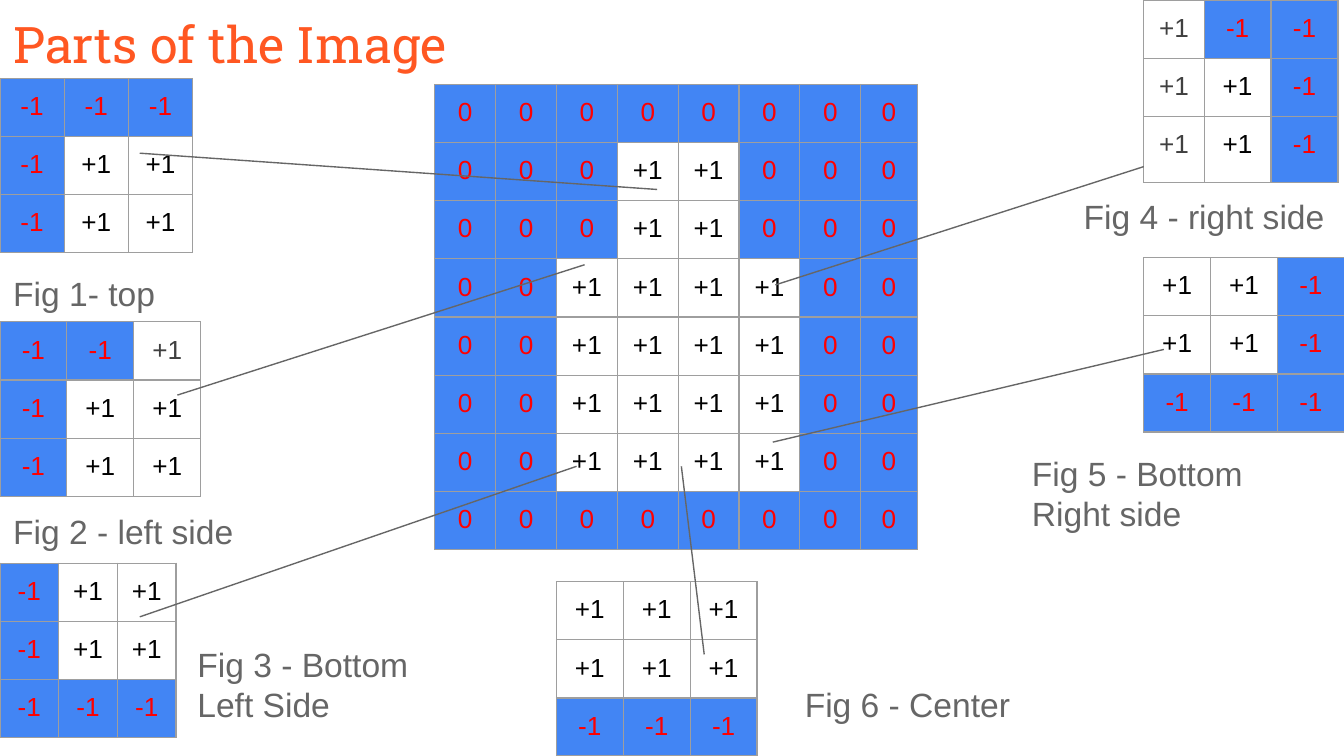
import dataclasses

import pptx
import pptx.dml.color
import pptx.enum.shapes
import pptx.enum.text
import pptx.oxml.ns
import pptx.util
from lxml import etree

ALIGN = pptx.enum.text.PP_ALIGN


@dataclasses.dataclass(frozen=True)
class Theme:
    title_font: str = "Roboto Slab"
    body_font: str = "Arial"
    title_size: int = 27
    caption_size: int = 18
    cell_size: int = 14
    line_width: float = 0.75
    title: str = "FF5722"
    caption: str = "666666"
    border: str = "9E9E9E"
    outside: str = "4285F4"
    negative: str = "FF0000"
    positive: str = "000000"
    muted: str = "404040"
    white: str = "FFFFFF"


def color(value):
    return pptx.dml.color.RGBColor.from_string(value)


def write(frame, text, *, font, size, fill, align=ALIGN.LEFT):
    inset = pptx.util.Inches(0.1)
    frame.margin_left = frame.margin_right = inset
    frame.margin_top = frame.margin_bottom = inset
    frame.word_wrap = True
    paragraph = frame.paragraphs[0]
    paragraph.alignment = align
    run = paragraph.add_run()
    run.text = text
    run.font.name = font
    run.font.size = pptx.util.Pt(size)
    run.font.bold = False
    run.font.color.rgb = color(fill)


class SlideBuilder:
    columns = 100
    rows = 56.25
    row_height = 4.33

    def __init__(self, presentation, theme):
        self.presentation = presentation
        self.theme = theme
        self.slide = presentation.slides.add_slide(presentation.slide_layouts[5])
        self.cell_styles = {
            "0": ("0", theme.negative, theme.outside),
            "-": ("-1", theme.negative, theme.outside),
            "+": ("+1", theme.positive, None),
            "*": ("+1", theme.muted, theme.white),
        }

    def across(self, columns):
        return round(self.presentation.slide_width * columns / self.columns)

    def down(self, rows):
        return round(self.presentation.slide_height * rows / self.rows)

    def box(self, left, top, width, height):
        return self.across(left), self.down(top), self.across(width), self.down(height)

    def title(self, text, *place):
        shape = self.slide.shapes.title
        shape.left, shape.top, shape.width, shape.height = self.box(*place)
        frame = shape.text_frame
        frame.vertical_anchor = pptx.enum.text.MSO_ANCHOR.TOP
        frame.auto_size = pptx.enum.text.MSO_AUTO_SIZE.NONE
        write(frame, text, font=self.theme.title_font,
              size=self.theme.title_size, fill=self.theme.title)

    def caption(self, text, *place):
        frame = self.slide.shapes.add_textbox(*self.box(*place)).text_frame
        frame.auto_size = pptx.enum.text.MSO_AUTO_SIZE.SHAPE_TO_FIT_TEXT
        write(frame, text, font=self.theme.body_font,
              size=self.theme.caption_size, fill=self.theme.caption)

    def matrix(self, left, top, widths, pattern, last_height=row_height):
        lines = pattern.split()
        heights = [self.row_height] * (len(lines) - 1) + [last_height]
        place = self.box(left, top, sum(widths), sum(heights))
        table = self.slide.shapes.add_table(len(lines), len(widths), *place).table
        table.first_row = table.horz_banding = False
        for column, width in zip(table.columns, widths):
            column.width = self.across(width)
        for row, height, line in zip(table.rows, heights, lines):
            row.height = self.down(height)
            for cell, mark in zip(row.cells, line):
                self.cell(cell, *self.cell_styles[mark])

    def cell(self, cell, text, ink, background):
        write(cell.text_frame, text, font=self.theme.body_font,
              size=self.theme.cell_size, fill=ink, align=ALIGN.CENTER)
        cell.margin_left = cell.margin_right = pptx.util.Inches(0.1)
        cell.margin_top = cell.margin_bottom = pptx.util.Inches(0.1)
        self.borders(cell)
        if background:
            cell.fill.solid()
            cell.fill.fore_color.rgb = color(background)
        else:
            cell.fill.background()

    def borders(self, cell):
        qn = pptx.oxml.ns.qn
        properties = cell._tc.get_or_add_tcPr()
        width = str(pptx.util.Pt(self.theme.line_width))
        for side in ("a:lnL", "a:lnR", "a:lnT", "a:lnB"):
            line = etree.SubElement(properties, qn(side), w=width)
            fill = etree.SubElement(line, qn("a:solidFill"))
            etree.SubElement(fill, qn("a:srgbClr"), val=self.theme.border)

    def line(self, start_x, start_y, end_x, end_y):
        connector = self.slide.shapes.add_connector(
            pptx.enum.shapes.MSO_CONNECTOR.STRAIGHT,
            self.across(start_x), self.down(start_y),
            self.across(end_x), self.down(end_y))
        connector.line.color.rgb = color(self.theme.caption)
        connector.line.width = pptx.util.Pt(self.theme.line_width)
        etree.SubElement(connector._element.spPr, pptx.oxml.ns.qn("a:effectLst"))


def main():
    presentation = pptx.Presentation()
    presentation.slide_width = pptx.util.Pt(720)
    presentation.slide_height = pptx.util.Pt(405)
    builder = SlideBuilder(presentation, Theme())

    builder.title("Parts of the Image", 0, 0, 100, 6.3)

    builder.matrix(0, 5.83, [4.78] * 3, "--- -++ -++")
    builder.matrix(0, 23.95, [4.98] * 3, "--* -++ -++")
    builder.matrix(0, 41.9, [4.37] * 3, "-++ -++ ---")
    builder.matrix(85.1, 19.17, [4.98] * 3, "++- ++- ---")
    builder.matrix(85.1, 0, [4.5, 4.98, 4.98], "*-- *+- *+-", last_height=4.9)
    builder.matrix(41.4, 43.28, [4.98] * 3, "+++ +++ ---")

    empty, narrow, wide = "00000000", "000++000", "00++++00"
    house = [empty] + [narrow] * 2 + [wide] * 4 + [empty]
    builder.matrix(32.35, 6.28, [4.53] * 7 + [4.2], " ".join(house))

    for caption in (
        ("Fig 1- top", 0, 19.3, 16.1, 5),
        ("Fig 2 - left side", 0, 37, 19, 5),
        ("Fig 3 - Bottom Left Side", 13.7, 46.9, 21.1, 8.1),
        ("Fig 4 - right side", 79.65, 13.6, 20.3, 5),
        ("Fig 5 - Bottom Right side", 75.8, 32.7, 24, 8.1),
        ("Fig 6 - Center", 58.9, 49.9, 19, 5),
    ):
        builder.caption(*caption)

    for ends in (
        (10.4, 11.4, 48.9, 14.1),
        (13.2, 29.4, 43.5, 19.7),
        (10.4, 45.9, 42.9, 34.7),
        (50.7, 34.7, 52.4, 48.7),
        (57.7, 21.2, 85.1, 12.4),
        (57.5, 32.9, 86.6, 26),
    ):
        builder.line(*ends)

    presentation.save("out.pptx")


if __name__ == "__main__":
    main()
